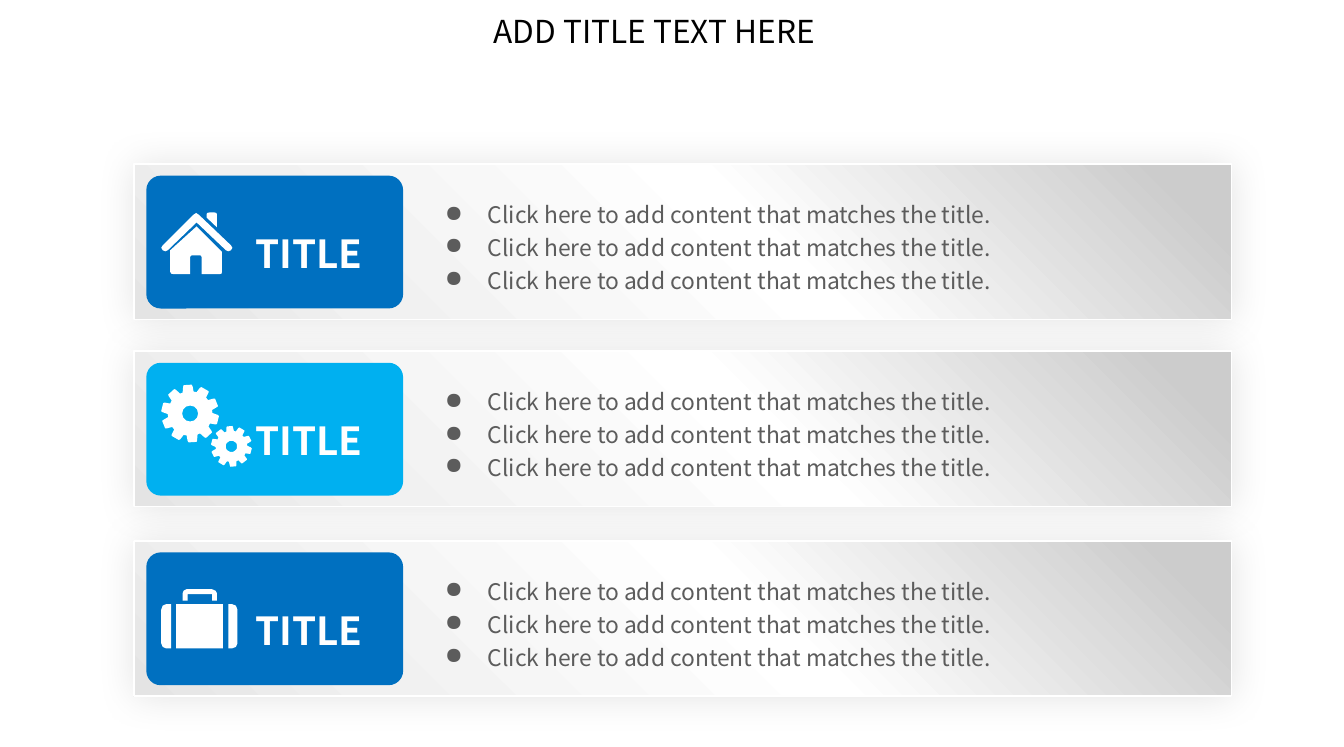
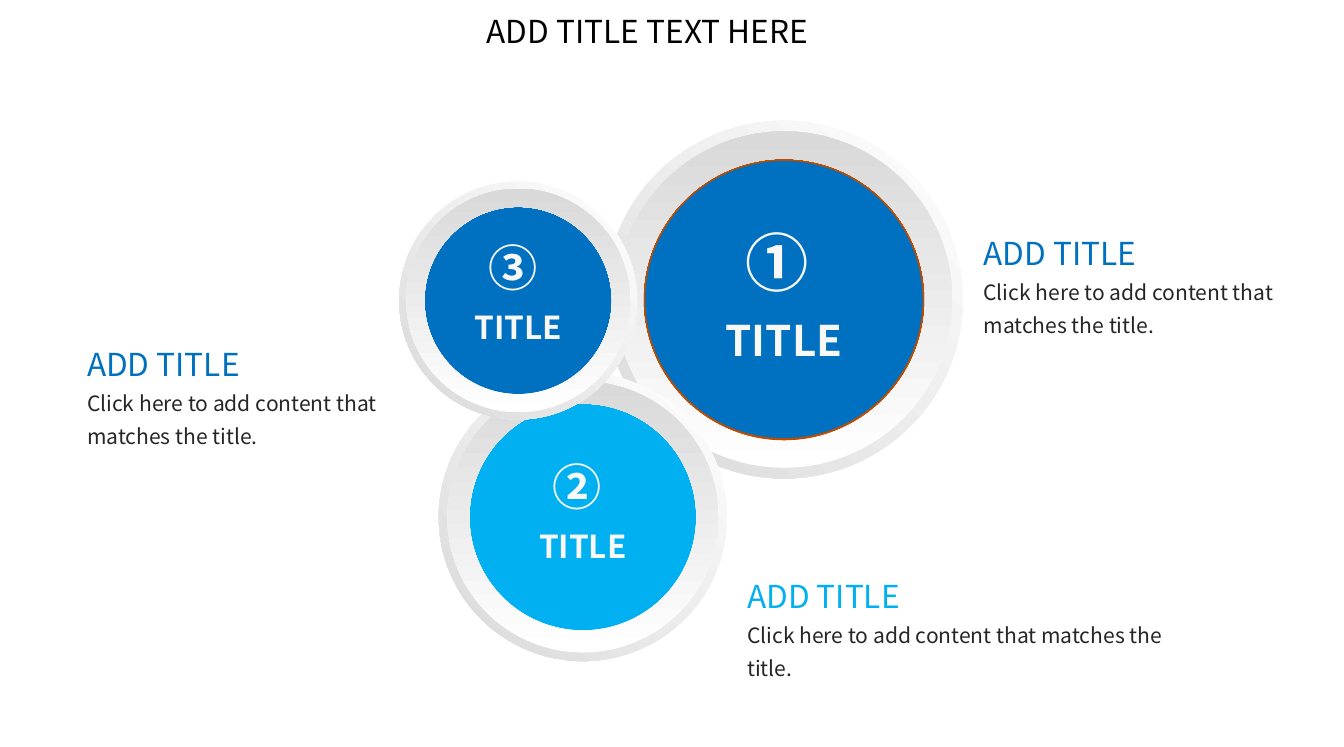
import math

from lxml import etree
from pptx import Presentation
from pptx import util as u
from pptx.dml.color import RGBColor
from pptx.enum import shapes, text
from pptx.oxml.ns import qn

FONT = "Noto Sans CJK SC"
COLOURS = {
    "blue": "0070C0", "sky": "00B0F0", "white": "FFFFFF", "black": "000000",
    "bullet": "5C5C5C", "body": "262626", "label": "F8F8F8", "rim": "BD4B00",
    "silver": "CCCCCC", "pale": "F1F1F1", "mist": "E4E4E4", "ring": "D9D9D9",
}
BAR_STOPS = [(6, "silver"), (43, "white"), (80, "pale"), (100, "mist")]
RING_STOPS = [(0, "white"), (100, "ring")]
HEADING = "ADD TITLE TEXT HERE"
SENTENCE = "Click here to add content that matches the title."
LEFT, CENTER = text.PP_ALIGN.LEFT, text.PP_ALIGN.CENTER


def colour(name):
    """Return the named colour."""
    return RGBColor.from_string(COLOURS[name])


def child(parent, tag, **attributes):
    """Append a drawing element with the given attributes."""
    return etree.SubElement(parent, qn(tag), {k: str(v) for k, v in attributes.items()})


def paint(shape, fill):
    """Give a shape a plain fill without line or shadow."""
    shape.shadow.inherit = False
    shape.fill.solid()
    shape.fill.fore_color.rgb = colour(fill)
    shape.line.fill.background()
    return shape


def shade(shape, stops, angle):
    """Give a shape a linear gradient, with the angle measured clockwise."""
    shape.fill.gradient()
    shape.fill.gradient_angle = 360 - angle
    stop_list = shape._element.spPr.find(qn("a:gradFill")).find(qn("a:gsLst"))
    stop_list.clear()
    for position, name in stops:
        stop = child(stop_list, "a:gs", pos=position * 1000)
        child(stop, "a:srgbClr", val=COLOURS[name])


def add_preset(parent, kind, box, fill, adjustment=None):
    """Add a plain preset shape in a box given in centimetres."""
    shape = paint(parent.shapes.add_shape(kind, *map(u.Cm, box)), fill)
    if adjustment is not None:
        shape.adjustments[0] = adjustment
    return shape


def add_text(parent, box, lines, align=LEFT, spacing=1.0, bold=False, insets=(0.25, 0.13)):
    """Add a text box whose lines are (wording, size, colour)."""
    textbox = parent.shapes.add_textbox(*map(u.Cm, box))
    frame = textbox.text_frame
    frame.word_wrap = True
    frame.auto_size = text.MSO_AUTO_SIZE.SHAPE_TO_FIT_TEXT
    frame.margin_left = frame.margin_right = u.Cm(insets[0])
    frame.margin_top = frame.margin_bottom = u.Cm(insets[1])
    frame.text = "\n".join(wording for wording, _, _ in lines)
    for paragraph, (_, size, name) in zip(frame.paragraphs, lines):
        paragraph.alignment = align
        paragraph.line_spacing = spacing
        font = paragraph.runs[0].font
        font.size, font.bold, font.name = u.Pt(size), bold, FONT
        font.color.rgb = colour(name)
        child(font._element, "a:ea", typeface=FONT)
    return frame


def add_heading(slide, left, width, align):
    """Add the slide heading at the top."""
    add_text(slide, (left, 0.15, width, 0.97), [(HEADING, 18, "black")],
             align, insets=(0.18, 0.1))


def gear(x, y, radius, hole, teeth=10):
    """Return the toothed rim and the hole of a gear."""
    def point(reach, degrees):
        """Return a point at a distance and angle from the hub."""
        turn = math.radians(degrees)
        return x + reach * math.cos(turn), y + reach * math.sin(turn)

    profile = [(0.77, -14), (0.96, -10), (1, -8), (1, 8), (0.96, 10), (0.77, 14)]
    rim = [point(radius * reach, -95 + tooth * 360 / teeth + offset)
           for tooth in range(teeth) for reach, offset in profile]
    return [rim, [point(hole, -degrees) for degrees in range(0, 360, 15)]]


HOUSE = [
    [(112, 5), (111, 1), (107, 0), (97, 0), (92, 1), (91, 5), (91, 10), (112, 30)],
    [(140, 66), (76, 5), (70, 1), (64, 5), (3, 66), (0, 71), (3, 76), (8, 78),
     (13, 76), (71, 20), (130, 76), (135, 78), (140, 76), (143, 71)],
    [(18, 76), (18, 119), (20, 123), (25, 124), (58, 124), (58, 89), (61, 86),
     (79, 86), (81, 89), (81, 124), (117, 124), (121, 123), (122, 119),
     (122, 79), (71, 28)],
]
SUITCASE = [
    [(53, 10), (102, 10), (102, 23), (112, 23), (112, 8), (109, 3), (102, 0),
     (51, 0), (45, 3), (43, 8), (43, 23), (53, 23)],
    [(0, 41), (0, 109), (3, 116), (10, 119), (20, 119), (20, 30), (10, 30), (3, 33)],
    [(30, 119), (124, 119), (124, 30), (30, 30)],
    [(142, 30), (135, 30), (135, 119), (142, 119), (150, 116), (153, 109),
     (153, 41), (150, 33)],
]
GEARS = [gear(58, 56, 58, 16), gear(141, 122, 41, 11)]


def add_icon(parent, left, top, outlines):
    """Draw the outlines of one icon part in hundredths of a centimetre."""
    builder = parent.shapes.build_freeform(*outlines[0][0], scale=u.Cm(0.01))
    for number, outline in enumerate(outlines):
        if number:
            builder.move_to(*outline[0])
        builder.add_line_segments(outline[1:], close=True)
    paint(builder.convert_to_shape(u.Cm(left), u.Cm(top)), "white")


def add_card(slide, left, top, fill, parts, icon_drop):
    """Add the coloured card with its icon and title."""
    card = slide.shapes.add_group_shape()
    add_preset(card, shapes.MSO_SHAPE.ROUNDED_RECTANGLE, (left, top, 5.16, 2.67), fill, 0.109)
    add_text(card, (left + 1.73, top + 0.77, 3.07, 1.3), [("TITLE", 22, "white")],
             CENTER, 1.2, True)
    for outlines in parts:
        add_icon(card, left + 0.3, top + icon_drop, outlines)


def add_bar(slide, left, top, fill, parts, icon_drop):
    """Add one shaded bar with a card and three bullets."""
    bar = add_preset(slide, shapes.MSO_SHAPE.ROUNDED_RECTANGLE, (left, top, 22.05, 3.12),
                     "white", 0)
    shade(bar, BAR_STOPS, 135)
    bar.line.color.rgb = colour("white")
    bar.line.width = u.Pt(1)
    glow = child(bar._element.spPr.find(qn("a:effectLst")), "a:outerShdw",
                 blurRad=u.Pt(22), dist=0, dir=0, algn="ctr", rotWithShape=0)
    child(child(glow, "a:srgbClr", val=COLOURS["black"]), "a:alpha", val=11000)
    add_card(slide, left + 0.25, top + 0.23, fill, parts, icon_drop)
    bullets = add_text(slide, (left + 5.97, top + 0.5, 14.45, 2.29),
                       [(SENTENCE, 13, "bullet")] * 3, spacing=1.2, insets=(0.28, 0.13))
    for paragraph in bullets.paragraphs:
        properties = paragraph._p.get_or_add_pPr()
        properties.set("marL", str(u.Cm(0.86)))
        properties.set("indent", str(u.Cm(-0.86)))
        child(properties, "a:buChar", char="●")


def add_disc(slide, x, y, diameter, fill, number, sizes, label_rise, rim=None):
    """Add a ringed disc with its number and title around a centre."""
    group = slide.shapes.add_group_shape()

    def centred(share):
        """Return a square box around the centre."""
        side = diameter * share
        return x - side / 2, y - side / 2, side, side

    disc = add_preset(group, shapes.MSO_SHAPE.OVAL, centred(0.785), fill)
    if rim:
        disc.line.color.rgb = colour(rim)
        disc.line.width = u.Pt(2)
    for share, thickness, angle in [(1, 0.101, 135), (0.94, 0.081, 270)]:
        ring = add_preset(group, shapes.MSO_SHAPE.DONUT, centred(share), "white", thickness)
        shade(ring, RING_STOPS, angle)
    width = diameter * 1.05
    label = [(number + " ", sizes[0], "label"), ("TITLE", sizes[1], "label")]
    add_text(group, (x - width / 2, y - label_rise, width, sum(sizes) * 0.06),
             label, CENTER, 1.3, True)


def add_caption(slide, box, accent):
    """Add a coloured caption title with its sentence."""
    add_text(slide, box, [("ADD TITLE", 18, accent), (SENTENCE, 12, "body")], spacing=1.3)


def build_bars(slide):
    """Build the slide of three bars."""
    rows = [(3.3, "blue", [HOUSE], 0.74), (7.06, "sky", GEARS, 0.46),
            (10.87, "blue", [SUITCASE], 0.74)]
    for top, fill, parts, icon_drop in rows:
        add_bar(slide, 2.69, top, fill, parts, icon_drop)
    add_heading(slide, 9.35, 7.59, CENTER)


def build_discs(slide):
    """Build the slide of three overlapping discs."""
    add_disc(slide, 15.75, 6.02, 7.19, "blue", "①", (36, 24), 2.11, "rim")
    add_disc(slide, 11.71, 10.39, 5.79, "sky", "②", (28, 18), 1.7)
    add_disc(slide, 10.41, 6.04, 4.78, "blue", "③", (28, 18), 1.75)
    add_caption(slide, (14.76, 11.23, 9.35, 3.38), "sky")
    add_caption(slide, (19.51, 4.34, 6.81, 3.3), "blue")
    add_caption(slide, (1.5, 6.58, 6.81, 3.3), "blue")
    add_heading(slide, 9.6, 7.34, LEFT)


deck = Presentation()
deck.slide_width, deck.slide_height = u.Cm(27), u.Cm(15.01)
for build in (build_bars, build_discs):
    build(deck.slides.add_slide(deck.slide_layouts[6]))
deck.save("out.pptx")
